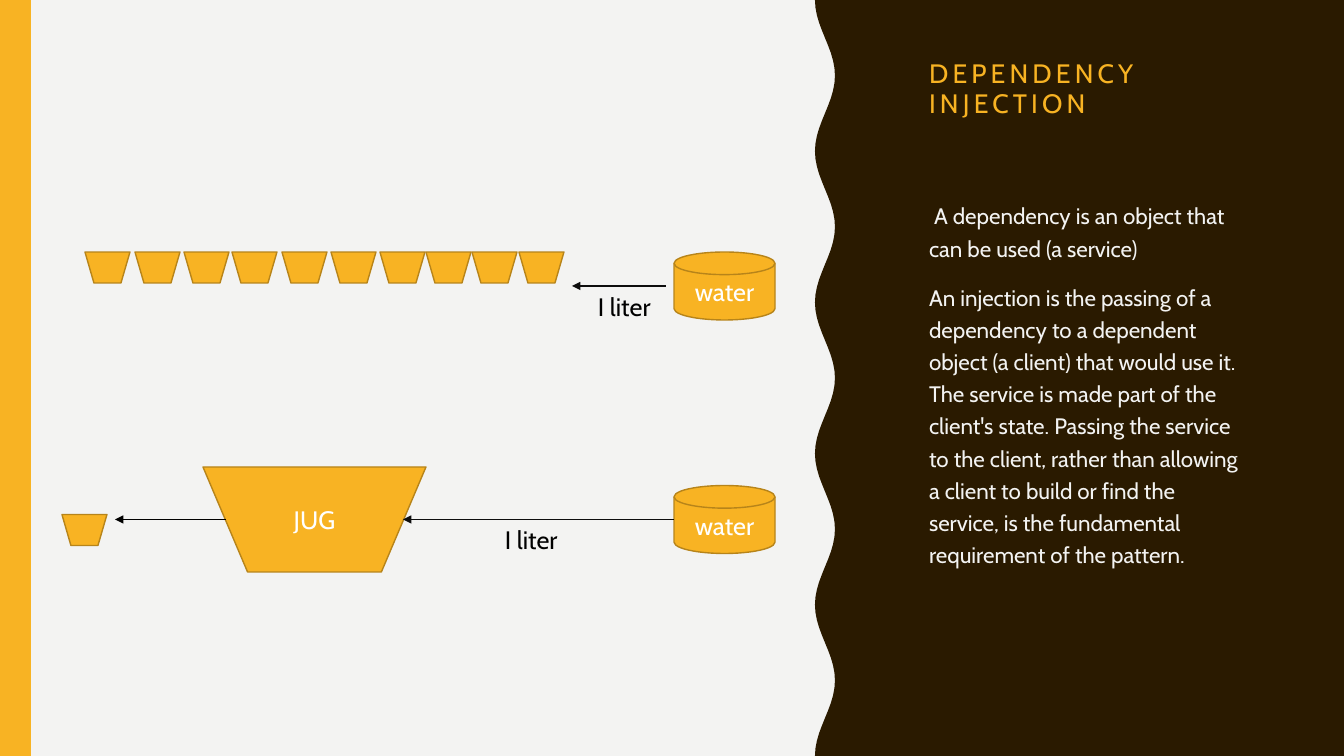
from math import cos, pi

from lxml.etree import SubElement
from pptx import Presentation
from pptx.dml.color import RGBColor
from pptx.enum.shapes import MSO_CONNECTOR, MSO_SHAPE
from pptx.enum.text import MSO_ANCHOR, MSO_AUTO_SIZE, PP_ALIGN
from pptx.oxml.ns import qn
from pptx.util import Pt

SCALE = 914400 / 100.8
WIDTH, HEIGHT = 1344, 756
FONT = "Cabin"
COLORS = {
    "page": "F3F3F2", "panel": "2A1A00", "amber": "F8B323", "edge": "B7841A",
    "white": "FFFFFF", "black": "000000", "arrow": "0D0D0D",
}
TITLE = "DEPENDENCY\u00a0\vINJECTION\u00a0"
BODY = [
    "\u00a0A dependency is an object that can be used (a\u00a0service)",
    "An injection is the passing of a dependency to a dependent object (a client) "
    "that would use it. The service is made part of the client's state. Passing the "
    "service to the client, rather than allowing a client to build or find the "
    "service, is the fundamental requirement of the pattern.",
]
CUP = (45, 31)
TANK = (101, 68)
CUP_OFFSETS = (0, 50, 99, 147, 197, 246, 295, 341, 387, 434)


def emu(pixels):
    """Turn pixels into EMU."""
    return round(pixels * SCALE)


def color(name):
    """Look up a named colour."""
    return RGBColor.from_string(COLORS[name])


def paint(shape, fill, line=None):
    """Give a shape a flat fill and an optional outline."""
    shape.shadow.inherit = False
    shape.fill.solid()
    shape.fill.fore_color.rgb = color(fill)
    if line:
        shape.line.color.rgb = color(line)
        shape.line.width = Pt(1)
    else:
        shape.line.fill.background()


def format_runs(frame, size, name):
    """Set font, size and colour on every run of a text frame."""
    for para in frame.paragraphs:
        for span in para.runs:
            span.font.name = FONT
            span.font.size = Pt(size)
            span.font.color.rgb = color(name)


def add_vessel(page, kind, box, label=None):
    """Draw an amber vessel with an optional centred label."""
    vessel = page.shapes.add_shape(kind, *map(emu, box))
    paint(vessel, "amber", "edge")
    if label:
        frame = vessel.text_frame
        frame.text = label
        frame.vertical_anchor = MSO_ANCHOR.MIDDLE
        frame.paragraphs[0].alignment = PP_ALIGN.CENTER
        format_runs(frame, 18, "white")


def add_arrow(page, start, end, y, name, width):
    """Draw a level line with an arrowhead at its end."""
    arrow = page.shapes.add_connector(
        MSO_CONNECTOR.STRAIGHT, emu(start), emu(y), emu(end), emu(y))
    arrow.line.color.rgb = color(name)
    arrow.line.width = Pt(width)
    properties = arrow.element.spPr
    SubElement(properties.find(qn("a:ln")), qn("a:tailEnd"), type="triangle")
    SubElement(properties, qn("a:effectLst"))


def add_amount(page, left, top):
    """Write the amount of water below an arrow."""
    amount = page.shapes.add_textbox(*map(emu, (left, top, 77, 40)))
    frame = amount.text_frame
    frame.word_wrap = True
    frame.text = "I liter"
    format_runs(frame, 18, "black")


def add_backdrop(page, box):
    """Draw the amber stripe on the left and the wavy panel on the right."""
    left, top, width, height = box
    waves, steps, swing = 5, 100, 10
    edge = left + 815
    points = []
    for step in range(steps + 1):
        x = edge + swing * (1 - cos(2 * pi * waves * step / steps))
        points.append((emu(x), emu(top + height * step / steps)))
    right, bottom = emu(left + width), emu(top + height)
    builder = page.shapes.build_freeform(*points[0], scale=1.0)
    builder.add_line_segments(points[1:] + [(right, bottom), (right, emu(top))])
    paint(builder.convert_to_shape(), "panel")
    stripe = page.shapes.add_shape(
        MSO_SHAPE.RECTANGLE, *map(emu, (left, top, 31, height)))
    paint(stripe, "amber")


def place_holder(holder, box):
    """Move a placeholder to its box and bring it to the front."""
    holder.left, holder.top, holder.width, holder.height = map(emu, box)
    holder.element.getparent().append(holder.element)
    frame = holder.text_frame
    frame.word_wrap = True
    frame.auto_size = MSO_AUTO_SIZE.NONE
    return frame


def add_explanation(page, box):
    """Fill the title and the body on the dark panel."""
    left, top, width, height = box
    frame = place_holder(page.shapes.title, (left, top, width, 106))
    frame.text = TITLE
    frame.vertical_anchor = MSO_ANCHOR.BOTTOM
    frame.margin_bottom = emu(36)
    heading = frame.paragraphs[0]
    heading.alignment = PP_ALIGN.LEFT
    heading.line_spacing = 0.95
    format_runs(frame, 19, "amber")
    for span in heading.runs:
        span.font._element.set("spc", "300")

    frame = place_holder(page.placeholders[1], (left, top + 142, width, height - 142))
    frame.text = "\n".join(BODY)
    frame.vertical_anchor = MSO_ANCHOR.TOP
    for para in frame.paragraphs:
        para.line_spacing = 1.2
        para.space_before = Pt(12)
        properties = para._p.get_or_add_pPr()
        properties.set("marL", "0")
        properties.set("indent", "0")
        SubElement(properties, qn("a:buNone"))
    format_runs(frame, 16, "page")


def add_cup_row(page, box):
    """Draw the tank that fills ten cups one by one."""
    left, top, width, height = box
    for offset in CUP_OFFSETS:
        add_vessel(page, MSO_SHAPE.FLOWCHART_MANUAL_OPERATION, (left + offset, top, *CUP))
    tank_left = left + width - TANK[0]
    add_vessel(page, MSO_SHAPE.FLOWCHART_MAGNETIC_DISK, (tank_left, top, *TANK), "water")
    middle = top + height / 2
    add_arrow(page, tank_left - 8, tank_left - 102, middle, "arrow", 1.5)
    add_amount(page, tank_left - 86, middle)


def add_jug_row(page, box):
    """Draw the tank that fills a jug, which in turn fills a cup."""
    left, top, width, height = box
    middle = top + height / 2
    tank_left = left + width - TANK[0]
    add_vessel(page, MSO_SHAPE.FLOWCHART_MANUAL_OPERATION,
               (left + 141, top, 223, height), "JUG")
    add_vessel(page, MSO_SHAPE.FLOWCHART_MAGNETIC_DISK,
               (tank_left, middle - TANK[1] / 2, *TANK), "water")
    add_vessel(page, MSO_SHAPE.FLOWCHART_MANUAL_OPERATION,
               (left, middle - 5, *CUP))
    add_amount(page, left + 433, middle)
    add_arrow(page, tank_left, left + 341, middle, "arrow", 1)
    add_arrow(page, left + 164, left + 53, middle, "black", 0.5)


deck = Presentation()
deck.slide_width, deck.slide_height = emu(WIDTH), emu(HEIGHT)
slide = deck.slides.add_slide(deck.slide_layouts[1])
slide.background.fill.solid()
slide.background.fill.fore_color.rgb = color("page")
add_backdrop(slide, (0, 0, WIDTH, HEIGHT))
add_explanation(slide, (919, 50, 341, 600))
add_cup_row(slide, (85, 252, 690, 68))
add_jug_row(slide, (62, 467, 713, 105))
deck.save("out.pptx")
